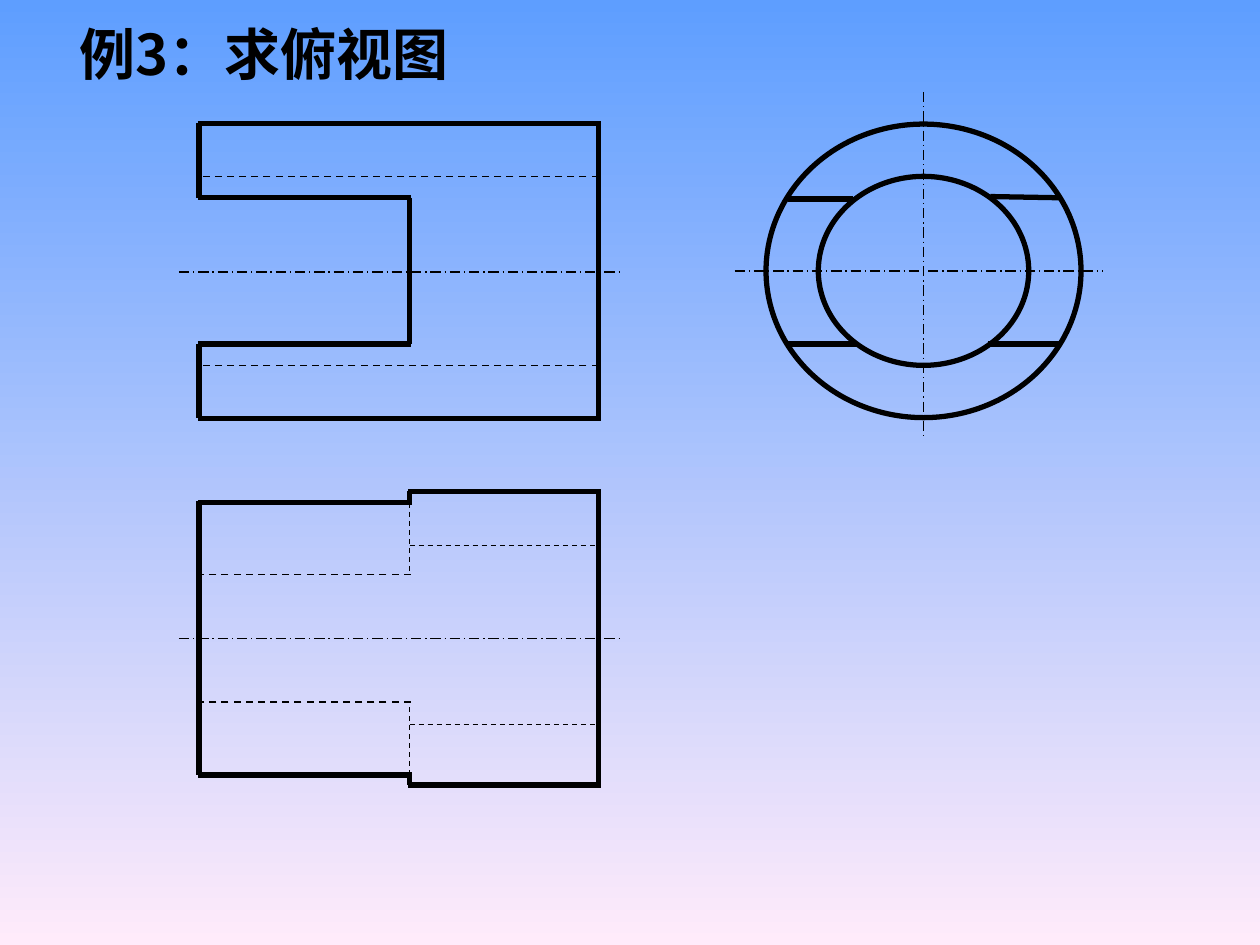
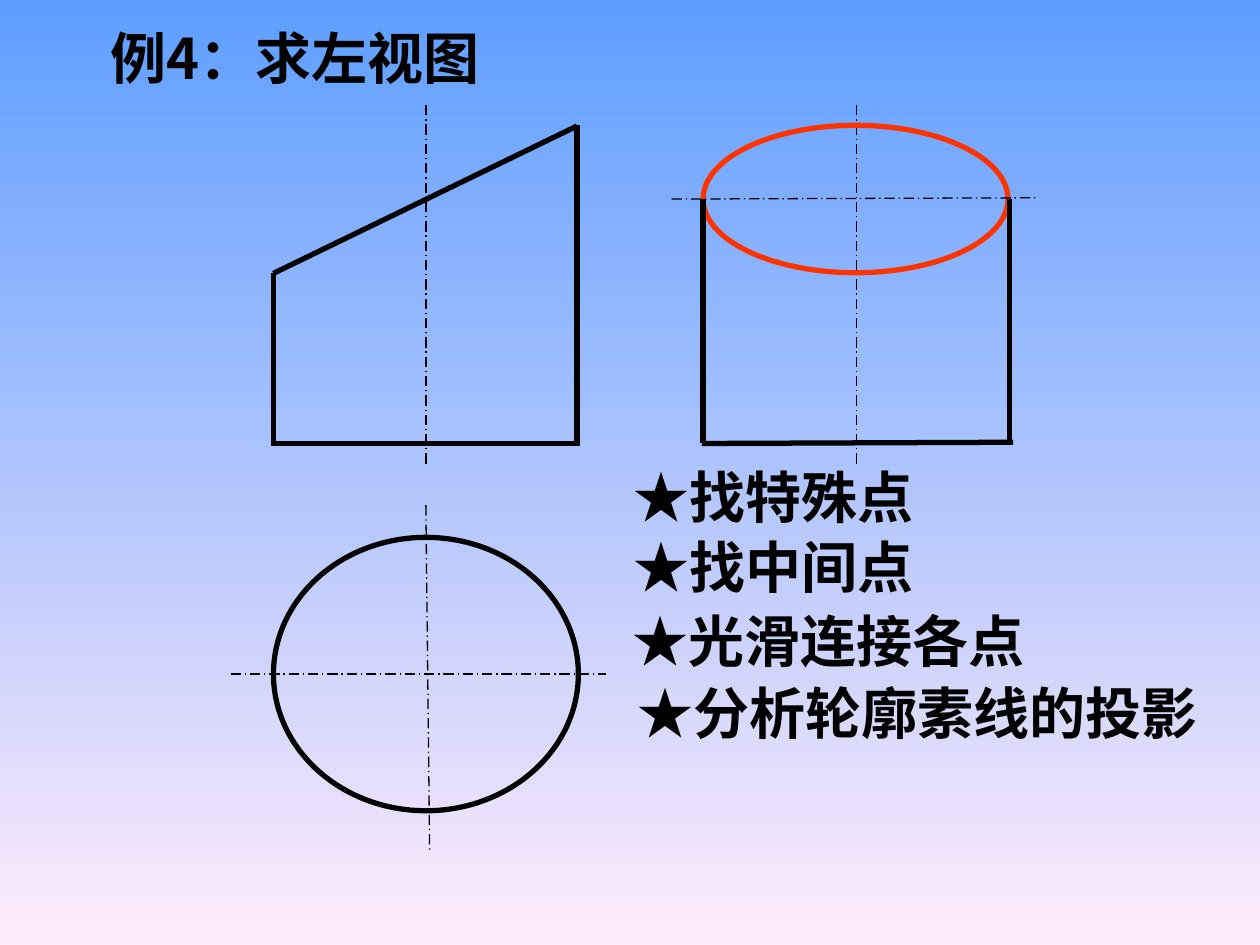
from lxml import etree
from pptx import Presentation
from pptx.dml.color import RGBColor
from pptx.enum.dml import MSO_LINE
from pptx.enum.shapes import MSO_CONNECTOR, MSO_SHAPE
from pptx.enum.text import MSO_ANCHOR, MSO_AUTO_SIZE, PP_ALIGN
from pptx.oxml.ns import qn
from pptx.util import Inches, Pt

COLORS = {"ink": "000000", "curve": "FF3300", "sky": "5E9EFF", "blush": "FFEBFA"}
FONT = "Noto Sans CJK SC"
TEXT_SIZE = 32
TEXT_HEIGHT = 0.64
TITLE_WIDTH, STEP_WIDTH = 3.5, 2.6
COLUMNS, ROWS = 10, 7.5
CELL = Inches(1)

STRAIGHT = MSO_CONNECTOR.STRAIGHT
OVAL = MSO_SHAPE.OVAL
DASH, DASH_DOT = MSO_LINE.DASH, MSO_LINE.LONG_DASH_DOT
TOP, MIDDLE = MSO_ANCHOR.TOP, MSO_ANCHOR.MIDDLE
LEFT, CENTER = PP_ALIGN.LEFT, PP_ALIGN.CENTER
FIT_SHAPE = MSO_AUTO_SIZE.SHAPE_TO_FIT_TEXT

OUTLINE = (3, None)
HIDDEN = (1, DASH)
FINE_HIDDEN = (0.75, DASH)
AXIS = (0.75, DASH_DOT)


def grid(cells):
    return round(cells * CELL)


def rgb(name):
    return RGBColor.from_string(COLORS[name])


def paint_background(master):
    fill = master.background.fill
    fill.gradient()
    fill.gradient_angle = 270
    for stop, name in zip(fill.gradient_stops, ("sky", "blush")):
        stop.color.rgb = rgb(name)


def style_line(line, style, color="ink"):
    width, dash = style
    line.color.rgb = rgb(color)
    line.width = Pt(width)
    if dash:
        line.dash_style = dash


def draw_lines(slide, style, *segments):
    for segment in segments:
        edge = slide.shapes.add_connector(STRAIGHT, *map(grid, segment))
        style_line(edge.line, style)
        etree.SubElement(edge._element.spPr, qn("a:effectLst"))


def draw_ellipse(slide, center, size, color="ink"):
    (x, y), (width, height) = center, size
    box = (x - width / 2, y - height / 2, width, height)
    ellipse = slide.shapes.add_shape(OVAL, *map(grid, box))
    ellipse.shadow.inherit = False
    ellipse.fill.background()
    style_line(ellipse.line, OUTLINE, color)


def write_text(slide, words, x, y, width, anchor=MIDDLE, align=LEFT):
    box = slide.shapes.add_textbox(*map(grid, (x, y, width, TEXT_HEIGHT)))
    frame = box.text_frame
    frame.word_wrap = True
    frame.auto_size = FIT_SHAPE
    frame.vertical_anchor = anchor
    paragraph = frame.paragraphs[0]
    paragraph.alignment = align
    run = paragraph.add_run()
    run.text = words
    run.font.size = Pt(TEXT_SIZE)
    run.font.bold = True
    run.font.name = FONT
    run.font.color.rgb = rgb("ink")
    etree.SubElement(run.font._element, qn("a:ea"), typeface=FONT)


def draw_slotted_front(slide, left, slot, right, axis):
    draw_lines(slide, AXIS, (1.42, axis + 0.01, 4.93, axis + 0.01))
    for side in (-1, 1):
        rim, bore, cut = (axis + side * half for half in (1.17, 0.75, 0.58))
        draw_lines(slide, OUTLINE,
                   (left - 0.01, rim, right + 0.02, rim),
                   (left - 0.01, cut, slot + 0.01, cut),
                   (left, cut, left, rim))
        draw_lines(slide, HIDDEN, (right, bore, left, bore))
    draw_lines(slide, OUTLINE,
               (right, axis - 1.17, right, axis + 1.17),
               (slot, axis - 0.58, slot, axis + 0.58))


def draw_slotted_side(slide, center):
    x, y = center
    draw_ellipse(slide, center, (1.67, 1.5))
    draw_ellipse(slide, center, (2.5, 2.33))
    draw_lines(slide, AXIS, (5.83, y, 8.75, y), (x, 0.73, x, 3.48))
    draw_lines(slide, OUTLINE,
               (6.25, 1.58, 6.77, 1.58), (7.86, 1.56, 8.42, 1.57),
               (6.25, 2.73, 6.8, 2.73), (7.84, 2.73, 8.42, 2.73))


def draw_slotted_plan(slide, left, slot, right):
    halves = ((3.9, 3.99, 4.56, 4.33), (6.23, 6.15, 5.57, 5.75))
    for rim, flat, slot_bore, bore in halves:
        draw_lines(slide, OUTLINE,
                   (left - 0.01, flat, slot + 0.02, flat),
                   (slot - 0.01, rim, right + 0.02, rim),
                   (slot, flat, slot, rim))
        draw_lines(slide, HIDDEN, (slot + 0.01, slot_bore, left, slot_bore))
        draw_lines(slide, FINE_HIDDEN,
                   (slot, flat, slot, slot_bore), (slot, bore, right, bore))
    draw_lines(slide, OUTLINE, (left, 3.98, left, 6.15), (right, 3.9, right, 6.23))
    draw_lines(slide, AXIS, (1.42, 5.07, 4.92, 5.07))


def build_plan_example(slide):
    left, slot, right, axis = 1.58, 3.25, 4.75, 2.15
    draw_slotted_front(slide, left, slot, right, axis)
    draw_slotted_side(slide, (7.33, axis))
    draw_slotted_plan(slide, left, slot, right)
    write_text(slide, "例3：求俯视图", 0.53, 0.11, TITLE_WIDTH, anchor=TOP)


def build_side_example(slide):
    left, right, base = 2.17, 4.58, 3.52
    side_left, side_right, cut_middle = 5.58, 8.01, 1.58
    diameter = 2.42
    draw_lines(slide, AXIS,
               (1.83, 5.35, 4.81, 5.35), (3.38, 4.01, 3.41, 6.75),
               (3.38, 3.68, 3.38, 0.83), (6.8, 3.68, 6.8, 0.83))
    draw_ellipse(slide, (3.38, 5.35), (diameter, 2.17))
    draw_lines(slide, OUTLINE,
               (left, 2.17, left, base), (left - 0.02, base, right + 0.02, base),
               (right, base, right, 0.99), (left, 2.17, right, 1))
    draw_ellipse(slide, (6.79, cut_middle), (diameter, 1.17), "curve")
    draw_lines(slide, OUTLINE,
               (side_left, cut_middle, side_left, base),
               (side_left - 0.01, base, 8.04, base - 0.01),
               (side_right, base, side_right, cut_middle))
    draw_lines(slide, AXIS, (5.33, cut_middle, 8.24, 1.57))
    write_text(slide, "例4：求左视图", 0.78, 0.13, TITLE_WIDTH)
    write_text(slide, "★找特殊点", 4.93, 3.62, STEP_WIDTH)
    write_text(slide, "★找中间点", 4.93, 4.17, STEP_WIDTH)
    write_text(slide, "★光滑连接各点", 4.92, 4.76, 4.03)
    write_text(slide, "★分析轮廓素线的投影", 4.9, 5.33, 4.77, align=CENTER)


def main():
    deck = Presentation()
    deck.slide_width, deck.slide_height = grid(COLUMNS), grid(ROWS)
    paint_background(deck.slide_master)
    blank = deck.slide_layouts[6]
    for build in (build_plan_example, build_side_example):
        build(deck.slides.add_slide(blank))
    deck.save("out.pptx")


if __name__ == "__main__":
    main()
